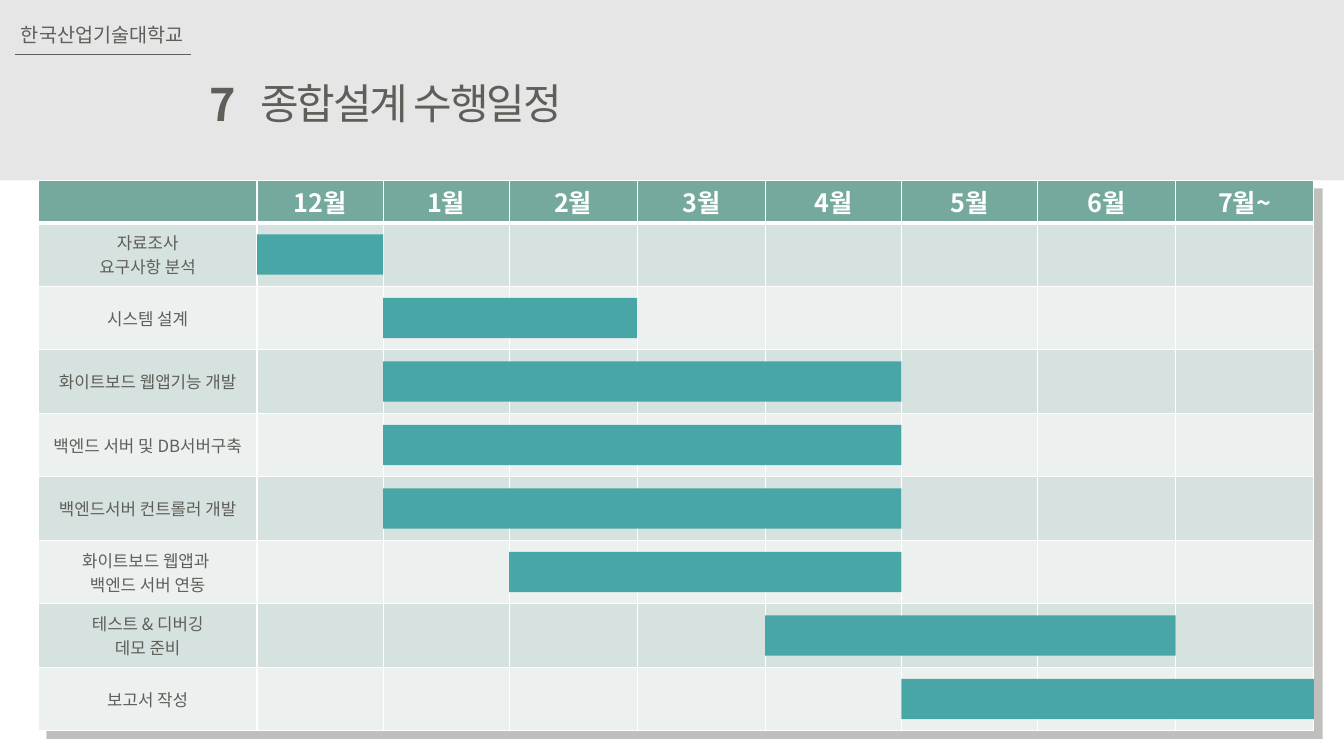
import pptx
import pptx.util
import pptx.dml.color
import pptx.enum.shapes
import pptx.enum.text
import pptx.oxml
import pptx.oxml.ns

Inches = pptx.util.Inches
Pt = pptx.util.Pt
ALIGN = pptx.enum.text.PP_ALIGN
FONT = "Noto Sans CJK KR"
INK, WHITE = "5F5E58", "FFFFFF"
NS = pptx.oxml.ns.nsdecls("a")

WIDTHS = [2.17, 1.25, 1.25, 1.27, 1.27, 1.35, 1.35, 1.37, 1.37]
HEAD, ROW, BAR = 0.42, 0.63, 0.4
MONTHS = ["12월", "1월", "2월", "3월", "4월", "5월", "6월", "7월~"]
# Each task: label, first month column, column after the last month
TASKS = [
    ("자료조사\n요구사항 분석", 0, 1),
    ("시스템 설계", 1, 3),
    ("화이트보드 웹앱기능 개발", 1, 5),
    ("백엔드 서버 및 DB서버구축", 1, 5),
    ("백엔드서버 컨트롤러 개발", 1, 5),
    ("화이트보드 웹앱과 \n백엔드 서버 연동", 2, 5),
    ("테스트 & 디버깅\n데모 준비", 4, 7),
    ("보고서 작성", 5, 8),
]


def color(code):
    return pptx.dml.color.RGBColor.from_string(code)


def style(frame, size, ink, bold=False, align=ALIGN.LEFT, space=None):
    for para in frame.paragraphs:
        para.alignment = align
        for run in para.runs:
            font = run.font
            font.name, font.size, font.bold = FONT, Pt(size), bold
            font.color.rgb = color(ink)
            props = run._r.get_or_add_rPr()
            props.append(pptx.oxml.parse_xml(f'<a:ea {NS} typeface="{FONT}"/>'))
            if space is not None:
                props.set("spc", str(space))


def rect(slide, x, y, w, h, fill):
    kind = pptx.enum.shapes.MSO_SHAPE.RECTANGLE
    shape = slide.shapes.add_shape(kind, Inches(x), Inches(y), Inches(w), Inches(h))
    shape.shadow.inherit = False
    shape.fill.solid()
    shape.fill.fore_color.rgb = color(fill)
    shape.line.fill.background()


def write(shape, text, x, y, w, h, size, **looks):
    shape.left, shape.top = Inches(x), Inches(y)
    shape.width, shape.height = Inches(w), Inches(h)
    frame = shape.text_frame
    frame.text = text
    frame.word_wrap = False
    frame.auto_size = pptx.enum.text.MSO_AUTO_SIZE.NONE
    frame.vertical_anchor = pptx.enum.text.MSO_ANCHOR.MIDDLE
    style(frame, size, INK, **looks)


def banner(slide, x, y, w, h):
    rect(slide, x, y, w, h, "E7E6E6")

    # Section number and title
    number = slide.shapes.add_textbox(0, 0, 0, 0)
    write(number, "7", x + 1.96, y + 0.71, 0.48, 0.64, 32, bold=True, align=ALIGN.RIGHT)
    title = slide.shapes.title
    title.element.getparent().append(title.element)
    write(title, "종합설계 수행일정", x + 2.48, y + 0.71, 3.26, 0.61, 30, space=-150)

    # School name with its rule
    school = slide.shapes.add_textbox(0, 0, 0, 0)
    write(school, "한국산업기술대학교", x + 0.11, y + 0.17, 1.81, 0.34, 14)
    rule = slide.shapes.add_connector(
        pptx.enum.shapes.MSO_CONNECTOR.STRAIGHT,
        Inches(x + 0.15), Inches(y + 0.54), Inches(x + 1.89), Inches(y + 0.54))
    rule.line.color.rgb = color(INK)
    rule.line.width = Pt(0.5)
    rule._element.spPr.append(pptx.oxml.parse_xml(f"<a:effectLst {NS}/>"))


def paint(cell, fill, top, base):
    cell.fill.solid()
    cell.fill.fore_color.rgb = color(fill)
    cell.vertical_anchor = pptx.enum.text.MSO_ANCHOR.MIDDLE
    props = cell._tc.get_or_add_tcPr()
    for spot, (side, width) in enumerate([("L", 1), ("R", 1), ("T", top), ("B", base)]):
        props.insert(spot, pptx.oxml.parse_xml(
            f'<a:ln{side} {NS} w="{Pt(width)}"><a:solidFill>'
            f'<a:srgbClr val="{WHITE}"/></a:solidFill></a:ln{side}>'))


def chart(slide, x, y, w, h):
    # Month grid
    table = slide.shapes.add_table(
        len(TASKS) + 1, len(WIDTHS), Inches(x), Inches(y), Inches(w), Inches(h)).table
    for col, width in zip(table.columns, WIDTHS):
        col.width = Inches(width)
    for r, row in enumerate(table.rows):
        row.height = Inches(ROW if r else HEAD)
        fill = ("D6E2DF" if r % 2 else "ECF1F0") if r else "75A99E"
        for cell in row.cells:
            paint(cell, fill, 3 if r == 1 else 1, 1 if r else 3)
            if r == 0:
                cell.margin_top = cell.margin_bottom = Inches(0.02)

    # Month names
    for c, month in enumerate(MONTHS, 1):
        frame = table.cell(0, c).text_frame
        frame.text = month
        style(frame, 18, WHITE, True, ALIGN.CENTER)

    # Task names and bars
    for r, (label, start, end) in enumerate(TASKS):
        frame = table.cell(r + 1, 0).text_frame
        frame.text = label
        style(frame, 12, INK, align=ALIGN.CENTER)
        left, right = sum(WIDTHS[:start + 1]), sum(WIDTHS[:end + 1])
        top = y + HEAD + r * ROW + (ROW - BAR) / 2
        rect(slide, x + left, top, right - left, BAR, "49A6A6")


def main():
    deck = pptx.Presentation()
    deck.slide_width, deck.slide_height = Inches(13.33), Inches(7.5)
    slide = deck.slides.add_slide(deck.slide_layouts[5])
    # Shade behind the schedule
    rect(slide, 0.46, 1.87, 12.66, 5.46, "C0BFBB")
    banner(slide, 0, 0, 13.33, 1.79)
    chart(slide, 0.38, 1.79, 12.66, 5.46)
    deck.save("out.pptx")


if __name__ == "__main__":
    main()
